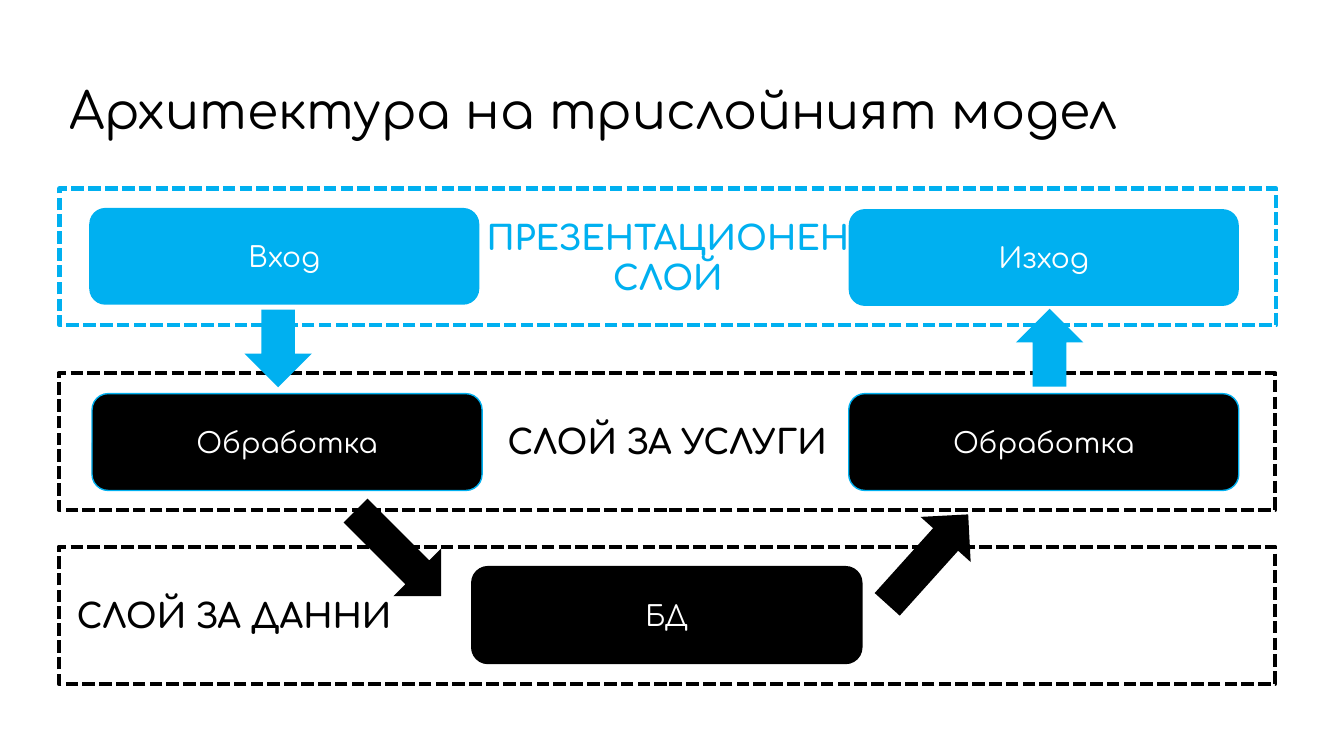
from dataclasses import dataclass

import pptx
import pptx.dml.color
import pptx.enum.dml
import pptx.enum.shapes
import pptx.enum.text
import pptx.presentation
import pptx.shapes.autoshape
import pptx.slide
import pptx.util

Cm = pptx.util.Cm
Pt = pptx.util.Pt
Preset = pptx.enum.shapes.MSO_SHAPE
Align = pptx.enum.text.PP_ALIGN
Shape = pptx.shapes.autoshape.Shape
Slide = pptx.slide.Slide

FONT = "Comfortaa"
BLUE = "00B0F0"
BLACK = "000000"
WHITE = "FFFFFF"
LAYER_WIDTH, LAYER_HEIGHT = 30.66, 3.45
BOX_WIDTH, BOX_HEIGHT = 9.83, 2.44
ARROW_WIDTH = 1.7


@dataclass(frozen=True)
class Layer:
    label: str
    left: float
    top: float
    color: str
    align: Align = Align.CENTER
    inset: float = 0.25


@dataclass(frozen=True)
class Box:
    label: str
    left: float
    top: float
    fill: str
    outline: str | None = None


@dataclass(frozen=True)
class Arrow:
    left: float
    top: float
    height: float
    rotation: float
    color: str


LAYERS = [
    Layer("ПРЕЗЕНТАЦИОНЕН\vСЛОЙ", 1.5, 4.75, BLUE),
    Layer("СЛОЙ ЗА УСЛУГИ", 1.48, 9.4, BLACK),
    Layer("СЛОЙ ЗА ДАННИ", 1.48, 13.78, BLACK, Align.LEFT, 0.45),
]
BOXES = [
    Box("Вход", 2.25, 5.24, BLUE),
    Box("Изход", 21.39, 5.27, BLUE),
    Box("Обработка", 2.32, 9.92, BLACK, BLUE),
    Box("Обработка", 21.39, 9.92, BLACK, BLUE),
    Box("БД", 11.89, 14.28, BLACK, BLACK),
]
ARROWS = [
    Arrow(6.16, 7.8, 1.96, 0, BLUE),
    Arrow(9.19, 12.42, 3.05, 315, BLACK),
    Arrow(22.53, 12.57, 3.05, 222, BLACK),
    Arrow(25.6, 7.78, 1.96, 180, BLUE),
]


def rgb(color: str) -> pptx.dml.color.RGBColor:
    return pptx.dml.color.RGBColor.from_string(color)


def write(shape: Shape, text: str, size: float, color: str,
          align: Align = Align.CENTER, bold: bool = False) -> None:
    frame = shape.text_frame
    frame.word_wrap = True
    frame.vertical_anchor = pptx.enum.text.MSO_ANCHOR.MIDDLE
    frame.text = text
    paragraph = frame.paragraphs[0]
    paragraph.alignment = align
    for run in paragraph.runs:
        run.font.name = FONT
        run.font.size = Pt(size)
        run.font.bold = bold
        run.font.color.rgb = rgb(color)


def add_preset(slide: Slide, preset: Preset, left: float, top: float,
               width: float, height: float, fill: str | None = None,
               outline: str | None = None, weight: float = 1) -> Shape:
    shape = slide.shapes.add_shape(preset, Cm(left), Cm(top), Cm(width), Cm(height))
    shape.shadow.inherit = False
    if fill:
        shape.fill.solid()
        shape.fill.fore_color.rgb = rgb(fill)
    else:
        shape.fill.background()
    if outline:
        shape.line.color.rgb = rgb(outline)
        shape.line.width = Pt(weight)
    else:
        shape.line.fill.background()
    return shape


def add_title(slide: Slide, text: str) -> None:
    title = slide.shapes.add_textbox(Cm(1.5), Cm(1.02), Cm(LAYER_WIDTH), Cm(3.68))
    write(title, text, 36, BLACK, Align.LEFT)
    title.text_frame.paragraphs[0].line_spacing = 0.9


def add_layer(slide: Slide, layer: Layer) -> None:
    shape = add_preset(slide, Preset.RECTANGLE, layer.left, layer.top,
                       LAYER_WIDTH, LAYER_HEIGHT, outline=layer.color, weight=3)
    shape.line.dash_style = pptx.enum.dml.MSO_LINE.SQUARE_DOT
    write(shape, layer.label, 24, layer.color, layer.align, bold=True)
    shape.text_frame.margin_left = Cm(layer.inset)


def add_box(slide: Slide, box: Box) -> None:
    shape = add_preset(slide, Preset.ROUNDED_RECTANGLE, box.left, box.top,
                       BOX_WIDTH, BOX_HEIGHT, box.fill, box.outline)
    write(shape, box.label, 20, WHITE)


def add_arrow(slide: Slide, arrow: Arrow) -> None:
    shape = add_preset(slide, Preset.DOWN_ARROW, arrow.left, arrow.top,
                       ARROW_WIDTH, arrow.height, arrow.color)
    shape.rotation = arrow.rotation


def main() -> None:
    presentation = pptx.Presentation()
    presentation.slide_width = Cm(33.87)
    presentation.slide_height = Cm(19.05)
    slide = presentation.slides.add_slide(presentation.slide_layouts[6])
    add_title(slide, "Архитектура на трислойният модел")
    for layer in LAYERS:
        add_layer(slide, layer)
    for box in BOXES:
        add_box(slide, box)
    for arrow in ARROWS:
        add_arrow(slide, arrow)
    presentation.save("out.pptx")


if __name__ == "__main__":
    main()
